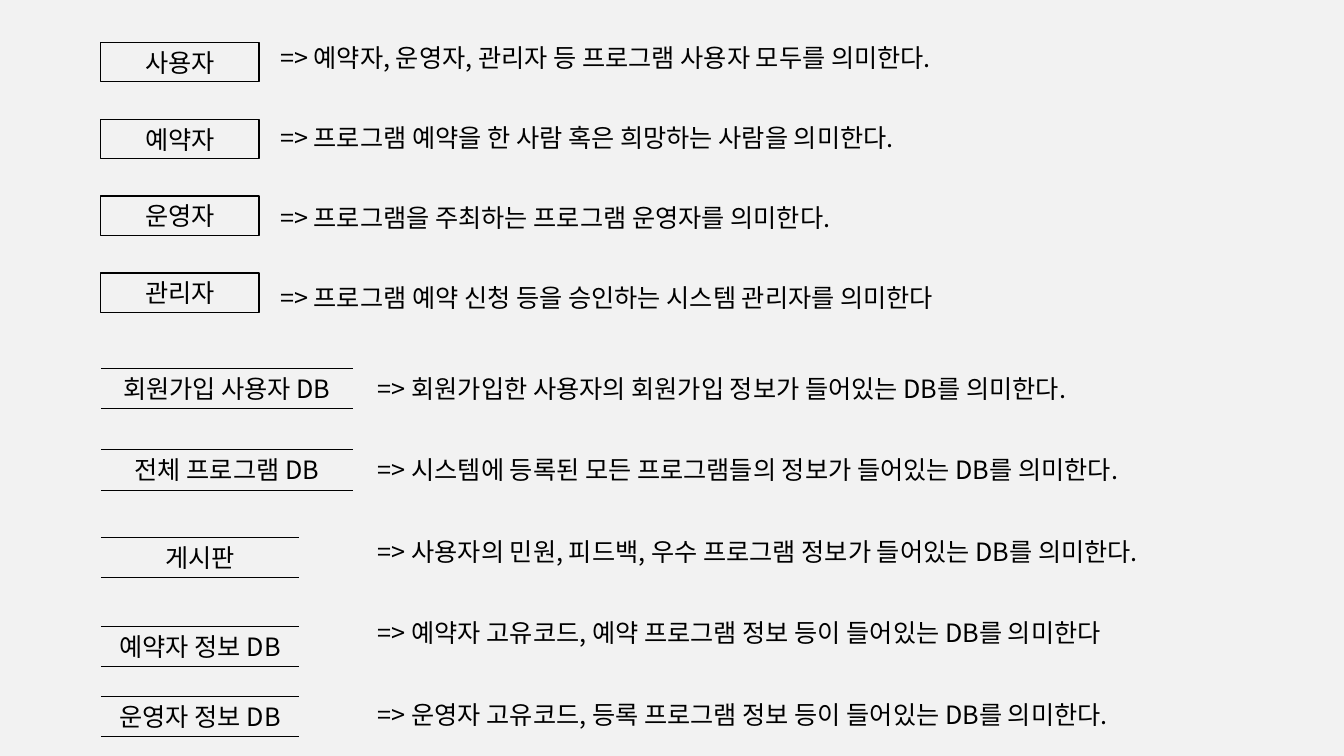
from lxml.etree import SubElement
from pptx import Presentation
from pptx.dml.color import RGBColor
from pptx.enum.shapes import MSO_CONNECTOR, MSO_SHAPE
from pptx.enum.text import MSO_ANCHOR, MSO_AUTO_SIZE, PP_ALIGN
from pptx.oxml.ns import qn
from pptx.util import Inches, Pt

# name, meaning, width of the meaning
ACTORS = [
    ("사용자", "예약자, 운영자, 관리자 등 프로그램 사용자 모두를 의미한다.", 7.5),
    ("예약자", "프로그램 예약을 한 사람 혹은 희망하는 사람을 의미한다.", 7.08),
    ("운영자", "프로그램을 주최하는 프로그램 운영자를 의미한다.", 6.3),
    ("관리자", "프로그램 예약 신청 등을 승인하는 시스템 관리자를 의미한다", 7.58),
]
# name, top, width, meaning, width of the meaning
STORES = [
    ("회원가입 사용자 DB", 3.65, 2.5,
     "회원가입한 사용자의 회원가입 정보가 들어있는 DB를 의미한다.", 7.82),
    ("전체 프로그램 DB", 4.46, 2.5,
     "시스템에 등록된 모든 프로그램들의 정보가 들어있는 DB를 의미한다.", 8.42),
    ("게시판", 5.33, 1.97,
     "사용자의 민원, 피드백, 우수 프로그램 정보가 들어있는 DB를 의미한다.", 8.62),
    ("예약자 정보 DB", 6.21, 1.97,
     "예약자 고유코드, 예약 프로그램 정보 등이 들어있는 DB를 의미한다", 8.31),
    ("운영자 정보 DB", 6.91, 1.97,
     "운영자 고유코드, 등록 프로그램 정보 등이 들어있는 DB를 의미한다.", 8.31),
]

COLORS = {"paper": "F2F2F2", "ink": "000000"}
TYPEFACE = "Noto Sans CJK KR"
FONT = {"name": TYPEFACE, "size": Pt(18), "bold": False}
LEFT = 1
ROW_HEIGHT = 0.4
ACTOR_TOP, ACTOR_STEP, ACTOR_WIDTH, ACTOR_HEIGHT = 0.42, 0.763, 1.57, 0.39
ACTOR_MEANING = {"left": 2.68, "top": 0.37, "step": 0.793}
STORE_MEANING = {"left": 3.65, "top": 3.65, "step": 0.81}


def rgb(name):
    return RGBColor.from_string(COLORS[name])


def write(shape, text, align):
    paragraph = shape.text_frame.paragraphs[0]
    paragraph.alignment = align
    run = paragraph.add_run()
    run.text = text
    for key, value in FONT.items():
        setattr(run.font, key, value)
    run.font.color.rgb = rgb("ink")
    SubElement(run.font._element, qn("a:ea"), typeface=TYPEFACE)


def add_label(shapes, text, left, top, width, align, wrap):
    label = shapes.add_textbox(*map(Inches, (left, top, width, ROW_HEIGHT)))
    label.text_frame.word_wrap = wrap
    label.text_frame.auto_size = MSO_AUTO_SIZE.SHAPE_TO_FIT_TEXT
    write(label, text, align)


def add_meaning(shapes, text, row, width, column):
    top = column["top"] + row * column["step"]
    add_label(shapes, f"=> {text}", column["left"], top, width, PP_ALIGN.LEFT, False)


def add_actor(shapes, name, row):
    top = ACTOR_TOP + row * ACTOR_STEP
    actor = shapes.add_shape(
        MSO_SHAPE.RECTANGLE, *map(Inches, (LEFT, top, ACTOR_WIDTH, ACTOR_HEIGHT)))
    actor.shadow.inherit = False
    actor.fill.solid()
    actor.fill.fore_color.rgb = rgb("paper")
    actor.line.color.rgb = rgb("ink")
    actor.line.width = Pt(1)
    actor.text_frame.vertical_anchor = MSO_ANCHOR.MIDDLE
    write(actor, name, PP_ALIGN.CENTER)


def add_rule(shapes, top, width):
    rule = shapes.add_connector(
        MSO_CONNECTOR.STRAIGHT, *map(Inches, (LEFT, top, LEFT + width, top)))
    rule.line.color.rgb = rgb("ink")
    rule.line.width = Pt(0.5)
    SubElement(rule._element.spPr, qn("a:effectLst"))


def add_store(shapes, name, top, width):
    """Data store of a flow diagram: a name between two rules."""
    store = shapes.add_group_shape().shapes
    add_rule(store, top, width)
    add_label(store, name, LEFT, top, width, PP_ALIGN.CENTER, True)
    add_rule(store, top + ROW_HEIGHT, width)


def main():
    deck = Presentation()
    deck.slide_width, deck.slide_height = Inches(13.33), Inches(7.5)
    slide = deck.slides.add_slide(deck.slide_layouts[6])
    slide.background.fill.solid()
    slide.background.fill.fore_color.rgb = rgb("paper")

    for row, (name, meaning, width) in enumerate(ACTORS):
        add_actor(slide.shapes, name, row)
        add_meaning(slide.shapes, meaning, row, width, ACTOR_MEANING)
    for row, (name, top, store_width, meaning, width) in enumerate(STORES):
        add_store(slide.shapes, name, top, store_width)
        add_meaning(slide.shapes, meaning, row, width, STORE_MEANING)

    deck.save("out.pptx")


if __name__ == "__main__":
    main()
